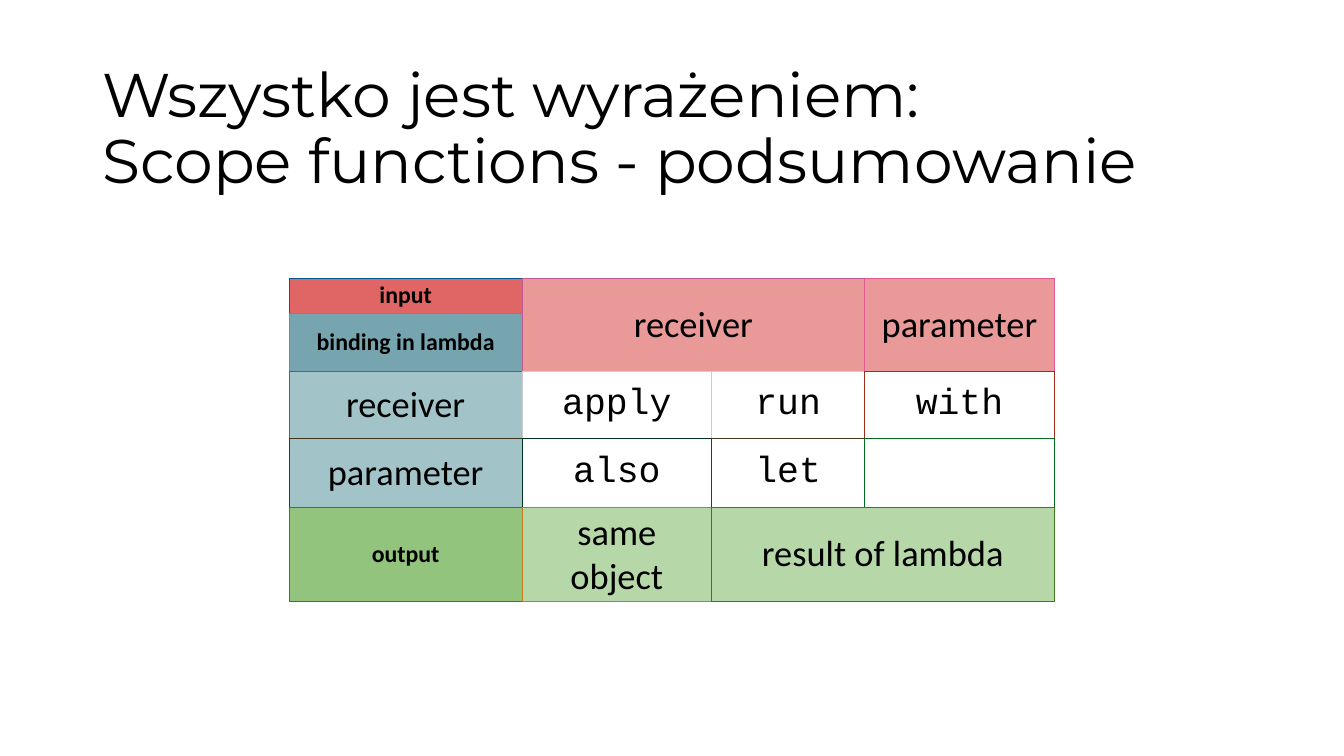
from dataclasses import dataclass

from lxml import etree
from pptx import Presentation
from pptx import util as u
from pptx.dml.color import RGBColor
from pptx.enum import text
from pptx.oxml import ns

# The slide is a grid of 160 columns by 90 rows
GRID_COLUMNS, GRID_ROWS = 160, 90

BLACK = RGBColor(0x00, 0x00, 0x00)
RED = RGBColor(0xE0, 0x66, 0x66)
LIGHT_RED = RGBColor(0xEA, 0x99, 0x99)
TEAL = RGBColor(0x76, 0xA5, 0xAF)
LIGHT_TEAL = RGBColor(0xA2, 0xC4, 0xC9)
GREEN = RGBColor(0x93, 0xC4, 0x7D)
LIGHT_GREEN = RGBColor(0xB6, 0xD7, 0xA8)

NAVY_EDGE = RGBColor(0x00, 0x5C, 0x94)
PURPLE_EDGE = RGBColor(0xC0, 0x5A, 0x94)
MAUVE_EDGE = RGBColor(0xC0, 0x63, 0x94)
PINK_EDGE = RGBColor(0xE0, 0x5B, 0x94)
BLUE_EDGE = RGBColor(0x40, 0x68, 0x94)
GREY_EDGE = RGBColor(0xCC, 0xCC, 0xCC)
RED_EDGE = RGBColor(0xA0, 0x2E, 0x1D)
OLIVE_EDGE = RGBColor(0x40, 0x36, 0x1D)
DARK_EDGE = RGBColor(0x00, 0x34, 0x1D)
FOREST_EDGE = RGBColor(0x00, 0x6B, 0x1D)
LEAF_EDGE = RGBColor(0x40, 0x7A, 0x1D)
ORANGE_EDGE = RGBColor(0xC0, 0x7B, 0x1D)


@dataclass
class TextStyle:
    font: str
    size: int
    bold: bool = False


TITLE = TextStyle("Montserrat", 44)
CORNER = TextStyle("Calibri", 17, True)
HEADING = TextStyle("Calibri", 26)
CODE = TextStyle("Courier New", 26)


@dataclass
class TableCell:
    """One cell; edges run left, top, right, bottom."""
    row: int
    column: int
    words: str
    style: TextStyle
    fill: RGBColor | None
    edges: tuple
    row_span: int = 1
    column_span: int = 1


COLUMN_WIDTHS = (27.72, 22.56, 18.24, 22.56)
ROW_HEIGHTS = (4.2, 4.2, 8.04, 8.16, 11.16)
CELLS = (
    TableCell(0, 0, "input", CORNER, RED, (NAVY_EDGE, NAVY_EDGE, PURPLE_EDGE, MAUVE_EDGE)),
    TableCell(0, 1, "receiver", HEADING, LIGHT_RED,
              (PURPLE_EDGE, PURPLE_EDGE, PINK_EDGE, GREY_EDGE), 2, 2),
    TableCell(0, 3, "parameter", HEADING, LIGHT_RED,
              (PINK_EDGE, PINK_EDGE, PINK_EDGE, RED_EDGE), 2),
    TableCell(1, 0, "binding in lambda", CORNER, TEAL,
              (MAUVE_EDGE, MAUVE_EDGE, MAUVE_EDGE, BLUE_EDGE)),
    TableCell(2, 0, "receiver", HEADING, LIGHT_TEAL,
              (BLUE_EDGE, BLUE_EDGE, GREY_EDGE, OLIVE_EDGE)),
    TableCell(2, 1, "apply", CODE, None, (GREY_EDGE, GREY_EDGE, GREY_EDGE, DARK_EDGE)),
    TableCell(2, 2, "run", CODE, None, (GREY_EDGE, GREY_EDGE, RED_EDGE, OLIVE_EDGE)),
    TableCell(2, 3, "with", CODE, None, (RED_EDGE, RED_EDGE, RED_EDGE, FOREST_EDGE)),
    TableCell(3, 0, "parameter", HEADING, LIGHT_TEAL,
              (OLIVE_EDGE, OLIVE_EDGE, DARK_EDGE, LEAF_EDGE)),
    TableCell(3, 1, "also", CODE, None, (DARK_EDGE, DARK_EDGE, OLIVE_EDGE, ORANGE_EDGE)),
    TableCell(3, 2, "let", CODE, None, (OLIVE_EDGE, OLIVE_EDGE, FOREST_EDGE, LEAF_EDGE)),
    TableCell(3, 3, "", CODE, None, (FOREST_EDGE, FOREST_EDGE, FOREST_EDGE, LEAF_EDGE)),
    TableCell(4, 0, "output", CORNER, GREEN, (LEAF_EDGE, LEAF_EDGE, ORANGE_EDGE, LEAF_EDGE)),
    TableCell(4, 1, "same object", HEADING, LIGHT_GREEN,
              (ORANGE_EDGE, ORANGE_EDGE, LEAF_EDGE, ORANGE_EDGE)),
    TableCell(4, 2, "result of lambda", HEADING, LIGHT_GREEN, (LEAF_EDGE,) * 4, 1, 2),
)


class SlideBuilder:
    def __init__(self, presentation):
        self.column = presentation.slide_width / GRID_COLUMNS
        self.row = presentation.slide_height / GRID_ROWS
        self.slide = presentation.slides.add_slide(presentation.slide_layouts[6])

    def across(self, columns):
        return u.Emu(round(columns * self.column))

    def down(self, rows):
        return u.Emu(round(rows * self.row))

    def box(self, left, top, width, height):
        return self.across(left), self.down(top), self.across(width), self.down(height)

    def run(self, paragraph, words, style):
        run = paragraph.add_run()
        run.text = words
        run.font.name = style.font
        run.font.size = u.Pt(style.size)
        run.font.bold = style.bold
        run.font.color.rgb = BLACK

    def title(self, lines, *place):
        frame = self.slide.shapes.add_textbox(*self.box(*place)).text_frame
        frame.word_wrap = True
        frame.vertical_anchor = text.MSO_ANCHOR.MIDDLE
        paragraph = frame.paragraphs[0]
        paragraph.line_spacing = 0.9
        for number, line in enumerate(lines):
            if number:
                paragraph.add_line_break()
            self.run(paragraph, line, TITLE)

    def table(self, left, top, widths, heights, cells):
        place = self.box(left, top, sum(widths), sum(heights))
        table = self.slide.shapes.add_table(len(heights), len(widths), *place).table
        table.first_row = table.horz_banding = False
        for column, width in zip(table.columns, widths):
            column.width = self.across(width)
        for row, height in zip(table.rows, heights):
            row.height = self.down(height)
        for entry in cells:
            self.cell(table, entry)

    def cell(self, table, entry):
        rows = range(entry.row, entry.row + entry.row_span)
        columns = range(entry.column, entry.column + entry.column_span)
        origin = table.cell(entry.row, entry.column)
        merged = len(rows) * len(columns) > 1
        if merged:
            origin.merge(table.cell(rows[-1], columns[-1]))
        for part in (table.cell(row, column) for row in rows for column in columns):
            self.borders(part, entry.edges)
            if entry.fill is None:
                part.fill.background()
            else:
                part.fill.solid()
                part.fill.fore_color.rgb = entry.fill
        origin.margin_left = origin.margin_right = u.Inches(0.15 if merged else 0.05)
        origin.margin_top = origin.margin_bottom = u.Inches(0.07 if merged else 0.03)
        origin.vertical_anchor = text.MSO_ANCHOR.MIDDLE
        paragraph = origin.text_frame.paragraphs[0]
        paragraph.alignment = text.PP_ALIGN.CENTER
        if entry.words:
            self.run(paragraph, entry.words, entry.style)

    def borders(self, cell, edges):
        left, top, right, bottom = edges
        properties = cell._tc.get_or_add_tcPr()
        for tag, color in (("lnL", left), ("lnR", right), ("lnT", top), ("lnB", bottom)):
            line = etree.SubElement(properties, ns.qn(f"a:{tag}"), w=str(u.Pt(0.75)))
            fill = etree.SubElement(line, ns.qn("a:solidFill"))
            etree.SubElement(fill, ns.qn("a:srgbClr"), val=str(color))


def main():
    presentation = Presentation()
    presentation.slide_width = u.Inches(13.33)
    presentation.slide_height = u.Inches(7.5)
    builder = SlideBuilder(presentation)
    builder.title(("Wszystko jest wyrażeniem:", "Scope functions - podsumowanie"),
                  11, 6.84, 138, 17.4)
    builder.table(34.44, 33.12, COLUMN_WIDTHS, ROW_HEIGHTS, CELLS)
    presentation.save("out.pptx")


if __name__ == "__main__":
    main()
